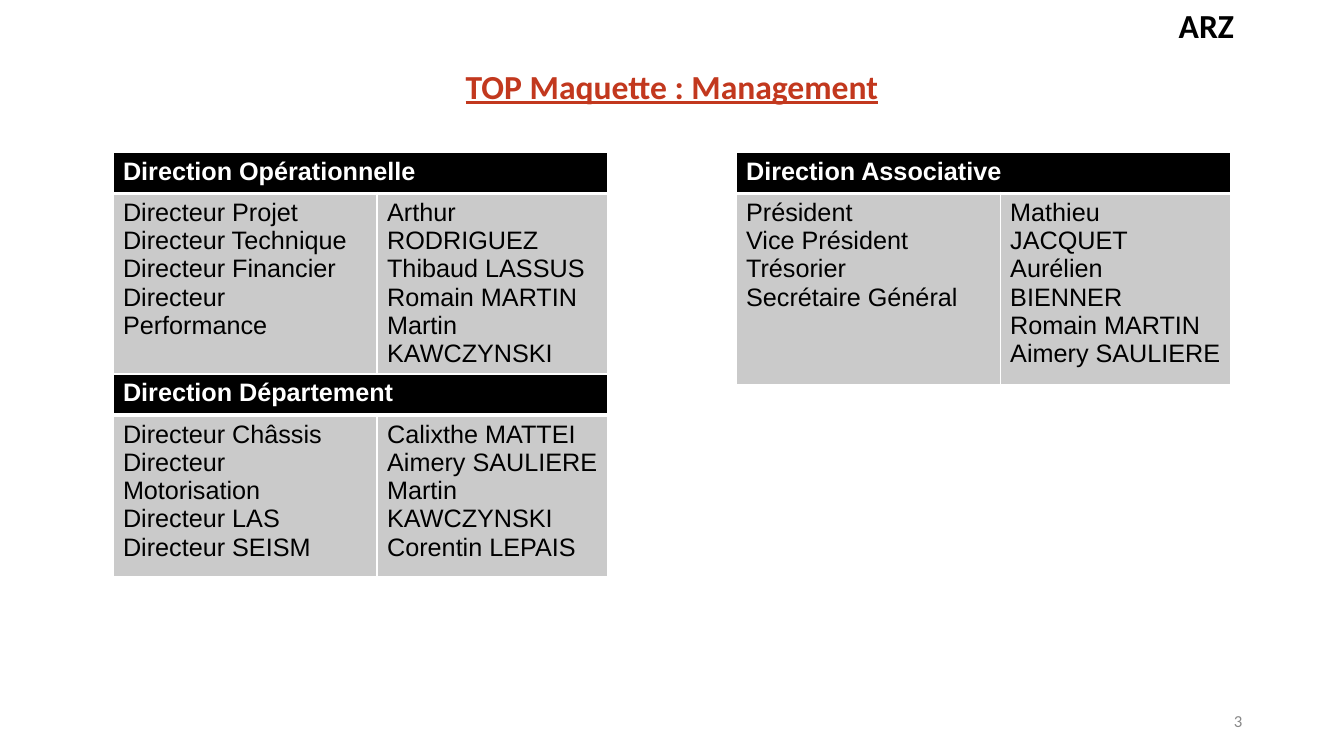
from dataclasses import dataclass

from lxml.etree import SubElement as Sub
from pptx import Presentation
from pptx.dml.color import RGBColor as Rgb
from pptx.enum.text import MSO_ANCHOR as Anchor, PP_ALIGN as Align
from pptx.oxml.ns import qn
from pptx.util import Emu, Pt

SCALE = 9144  # EMU in one px, 100 px to the inch


@dataclass(frozen=True)
class Theme:
    red: str = "C2381E"
    black: str = "000000"
    white: str = "FFFFFF"
    gray: str = "888888"
    fill: str = "CACACA"
    head: str = "Calibri"
    body: str = "Arial"
    title: int = 24
    cell: int = 18
    small: int = 12


LOOK = Theme()
COLS = (262, 229)
ROWS = (41, 130)
LEFT, RIGHT = 112, 730
UPPER, LOWER = 151, 371

# Left, top, heading, roles, names
BOARDS = [
    (LEFT, UPPER, "Direction Opérationnelle",
     ["Directeur Projet", "Directeur Technique",
      "Directeur Financier", "Directeur Performance"],
     ["Arthur RODRIGUEZ", "Thibaud LASSUS",
      "Romain MARTIN", "Martin KAWCZYNSKI"]),
    (LEFT, LOWER, "Direction Département",
     ["Directeur Châssis", "Directeur Motorisation",
      "Directeur LAS", "Directeur SEISM"],
     ["Calixthe MATTEI", "Aimery SAULIERE",
      "Martin KAWCZYNSKI", "Corentin LEPAIS"]),
    (RIGHT, UPPER, "Direction Associative",
     ["Président", "Vice Président", "Trésorier", "Secrétaire Général"],
     ["Mathieu JACQUET", "Aurélien BIENNER",
      "Romain MARTIN", "Aimery SAULIERE"]),
]


def px(n):
    return Emu(n * SCALE)


def write(frame, lines, size=LOOK.cell, font=LOOK.body, color=LOOK.black,
          bold=False, under=False, align=Align.LEFT):
    """Fill a text frame, one paragraph per line."""
    for i, line in enumerate(lines):
        para = frame.add_paragraph() if i else frame.paragraphs[0]
        para.alignment = align
        run = para.add_run()
        run.text = line
        run.font.size = Pt(size)
        run.font.name = font
        run.font.color.rgb = Rgb.from_string(color)
        run.font.bold = bold
        run.font.underline = under


def label(slide, box, text, anchor=Anchor.TOP, **style):
    frame = slide.shapes.add_textbox(*map(px, box)).text_frame
    frame.word_wrap = True
    frame.vertical_anchor = anchor
    write(frame, [text], font=LOOK.head, **style)


def border(cell, top, base):
    """Draw white cell edges; widths are in points."""
    props = cell._tc.get_or_add_tcPr()
    for side, width in zip("LRTB", (1, 1, top, base)):
        line = Sub(props, qn(f"a:ln{side}"), w=str(Pt(width)))
        paint = Sub(line, qn("a:solidFill"))
        Sub(paint, qn("a:srgbClr"), val=LOOK.white)


def shade(cell, color, top, base):
    border(cell, top, base)
    cell.fill.solid()
    cell.fill.fore_color.rgb = Rgb.from_string(color)


def board(slide, left, top, title, roles, names):
    box = (left, top, sum(COLS), sum(ROWS))
    table = slide.shapes.add_table(2, 2, *map(px, box)).table
    for col, width in zip(table.columns, COLS):
        col.width = px(width)
    for row, height in zip(table.rows, ROWS):
        row.height = px(height)

    # Heading across both columns
    head = table.cell(0, 0)
    head.merge(table.cell(0, 1))
    write(head.text_frame, [title], color=LOOK.white, bold=True)

    # Roles beside names
    for i, lines in enumerate((roles, names)):
        shade(table.cell(0, i), LOOK.black, 1, 3)
        shade(table.cell(1, i), LOOK.fill, 3, 1)
        write(table.cell(1, i).text_frame, lines)


def main():
    deck = Presentation()
    deck.slide_width, deck.slide_height = px(1333), px(750)
    slide = deck.slides.add_slide(deck.slide_layouts[6])

    # Title
    label(slide, (0, 60, 1333, 50), "TOP Maquette : Management",
          size=LOOK.title, color=LOOK.red, bold=True, under=True,
          align=Align.CENTER)

    # Management tables
    for item in BOARDS:
        board(slide, *item)

    # Team tag and page number
    label(slide, (1151, 0, 91, 50), "ARZ", size=LOOK.title, bold=True,
          align=Align.CENTER)
    label(slide, (942, 695, 300, 40), "3", anchor=Anchor.MIDDLE,
          size=LOOK.small, color=LOOK.gray, align=Align.RIGHT)

    deck.save("out.pptx")


if __name__ == "__main__":
    main()
